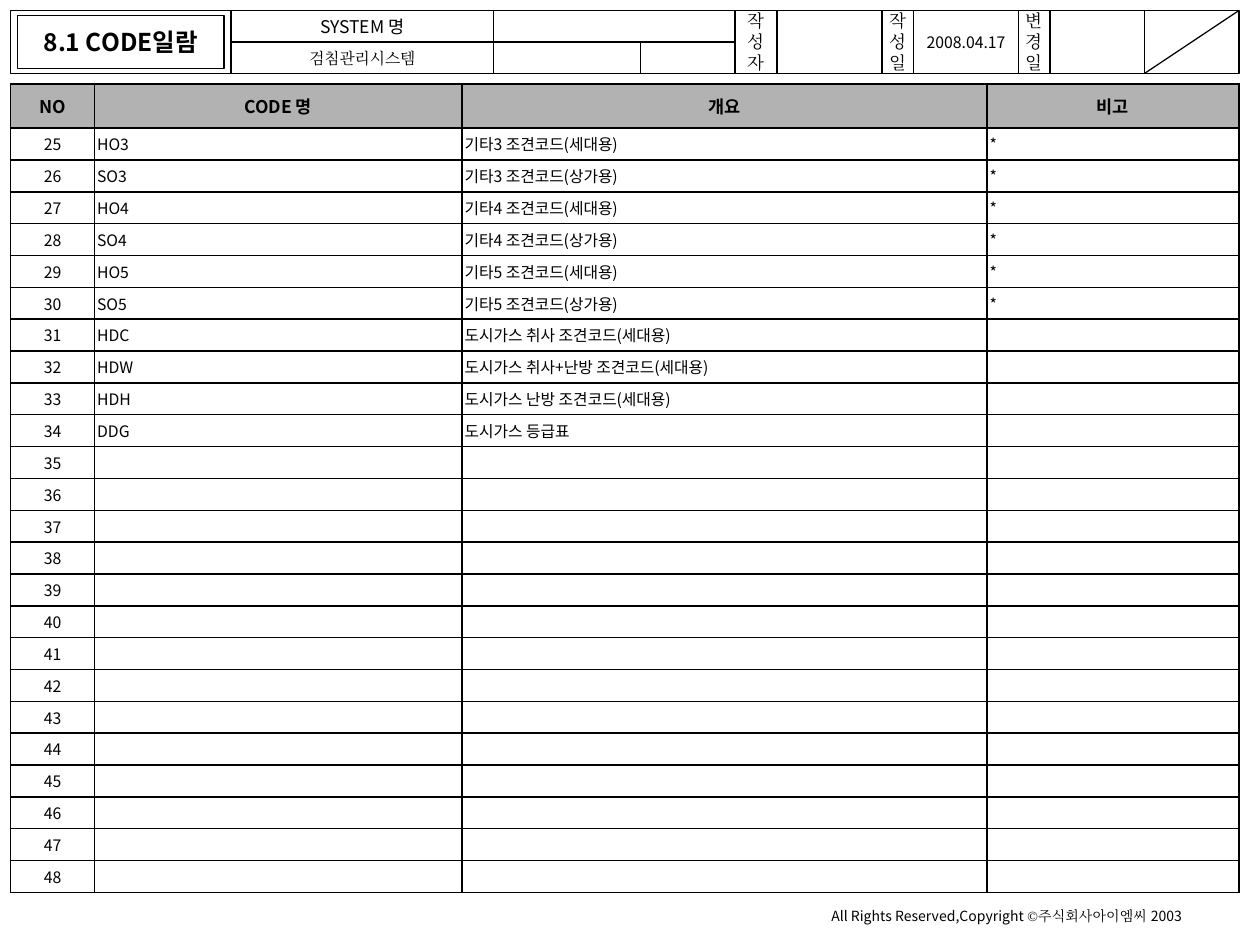
from dataclasses import dataclass

from lxml.etree import SubElement
from pptx import Presentation
from pptx.dml.color import RGBColor
from pptx.enum.shapes import MSO_CONNECTOR, MSO_SHAPE
from pptx.enum.text import MSO_ANCHOR, MSO_AUTO_SIZE, PP_ALIGN
from pptx.oxml.ns import qn
from pptx.util import Pt


@dataclass(frozen=True)
class Theme:
    ink: RGBColor = RGBColor(0, 0, 0)
    header_fill: RGBColor = RGBColor(0xB2, 0xB2, 0xB2)
    sans: str = "Noto Sans CJK KR"
    serif: str = "Times New Roman"
    title: float = 14
    label: float = 10
    body: float = 9
    footer: float = 8
    frame_line: float = 0.75
    table_line: float = 1
    cell_inset: float = 1.5


class FormSlide:
    def __init__(self, slide, theme):
        self.shapes = slide.shapes
        self.theme = theme

    def run(self, paragraph, text, size, face=None, bold=False):
        face = face or self.theme.sans
        run = paragraph.add_run()
        run.text = text
        run.font.size = Pt(size)
        run.font.bold = bold
        run.font.name = face
        run.font.color.rgb = self.theme.ink
        SubElement(run.font._element, qn("a:ea"), typeface=face)

    def centre(self, frame, lines, size, face=None, bold=False):
        frame.word_wrap = False
        frame.vertical_anchor = MSO_ANCHOR.MIDDLE
        frame.margin_left = frame.margin_right = 0
        frame.margin_top = frame.margin_bottom = 0
        for index, line in enumerate(lines):
            paragraph = frame.add_paragraph() if index else frame.paragraphs[0]
            paragraph.alignment = PP_ALIGN.CENTER
            self.run(paragraph, line, size, face, bold)

    def box(self, bounds, lines=(), size=None, face=None):
        box = self.shapes.add_shape(MSO_SHAPE.RECTANGLE, *map(Pt, bounds))
        box.shadow.inherit = False
        box.fill.background()
        box.line.color.rgb = self.theme.ink
        box.line.width = Pt(self.theme.frame_line)
        self.centre(box.text_frame, lines, size, face)

    def line(self, *ends):
        line = self.shapes.add_connector(MSO_CONNECTOR.STRAIGHT, *map(Pt, ends))
        line.line.color.rgb = self.theme.ink
        line.line.width = Pt(self.theme.frame_line)
        SubElement(line._element.spPr, qn("a:effectLst"))

    def title(self, bounds, text):
        box = self.shapes.add_textbox(*map(Pt, bounds))
        self.centre(box.text_frame, [text], self.theme.title, bold=True)

    def footer(self, bounds, parts):
        frame = self.shapes.add_textbox(*map(Pt, bounds)).text_frame
        frame.word_wrap = True
        frame.auto_size = MSO_AUTO_SIZE.SHAPE_TO_FIT_TEXT
        for text, face in parts:
            self.run(frame.paragraphs[0], text, self.theme.footer, face)

    def borders(self, cell):
        properties = cell._tc.get_or_add_tcPr()
        for side in ("lnL", "lnR", "lnT", "lnB"):
            edge = SubElement(properties, qn(f"a:{side}"), w=str(Pt(self.theme.table_line)))
            fill = SubElement(edge, qn("a:solidFill"))
            SubElement(fill, qn("a:srgbClr"), val=str(self.theme.ink))

    def cell(self, cell, text, header, centred):
        theme = self.theme
        size = theme.label if header else theme.body
        self.borders(cell)
        cell.vertical_anchor = MSO_ANCHOR.MIDDLE
        if header:
            cell.fill.solid()
            cell.fill.fore_color.rgb = theme.header_fill
        else:
            cell.fill.background()
            cell.margin_left = cell.margin_right = Pt(theme.cell_inset)
            cell.margin_top = cell.margin_bottom = Pt(theme.cell_inset)
        paragraph = cell.text_frame.paragraphs[0]
        if centred:
            paragraph.alignment = PP_ALIGN.CENTER
        if text:
            self.run(paragraph, text, size, bold=header)
        else:  # keeps an empty row from growing to the default type size
            SubElement(paragraph._p, qn("a:endParaRPr"), sz=str(size * 100))

    def table(self, left, top, widths, heights, rows):
        table = self.shapes.add_table(
            len(rows), len(widths), Pt(left), Pt(top), Pt(sum(widths)), Pt(sum(heights))
        ).table
        table.first_row = table.horz_banding = False
        for column, width in zip(table.columns, widths):
            column.width = Pt(width)
        for row, height in zip(table.rows, heights):
            row.height = Pt(height)
        for r, texts in enumerate(rows):
            for c, text in enumerate(texts):
                self.cell(table.cell(r, c), text, header=r == 0, centred=r == 0 or c == 0)


HEADINGS = ("NO", "CODE 명", "개요", "비고")
FIRST_NO, LAST_NO = 25, 48
CODES = [
    (f"{prefix}O{number}", f"기타{number} 조견코드({use})", "*")
    for number in (3, 4, 5)
    for prefix, use in (("H", "세대용"), ("S", "상가용"))
] + [
    ("HDC", "도시가스 취사 조견코드(세대용)", ""),
    ("HDW", "도시가스 취사+난방 조견코드(세대용)", ""),
    ("HDH", "도시가스 난방 조견코드(세대용)", ""),
    ("DDG", "도시가스 등급표", ""),
]


def draw_form_header(form):
    theme = form.theme
    top, half, full = 6, 18, 36
    middle = top + half
    title_bounds = (6, top, 126, full)
    form.box(title_bounds)
    form.box((10, 9, 118, 30))
    form.box((132, top, 150, half), ["SYSTEM 명"], theme.label)
    form.box((132, middle, 150, half), ["검침관리시스템"], theme.body, theme.serif)

    fields = [
        (24, "작성자", theme.label, theme.serif),
        (60, "", None, None),
        (18, "작성일", theme.label, theme.serif),
        (60, ["2008.04.17"], theme.body, theme.sans),
        (18, "변경일", theme.label, theme.serif),
        (54, "", None, None),
        (54, "", None, None),
    ]
    left = 420
    for width, lines, size, face in fields:
        form.box((left, top, width, full), lines, size, face)
        left += width
    form.line(left, top, left - width, top + full)

    form.box((282, top, 138, half))
    form.box((366, middle, 54, half))
    form.box((282, middle, 84, half))
    form.title(title_bounds, "8.1 CODE일람")


def main():
    presentation = Presentation()
    presentation.slide_width, presentation.slide_height = Pt(720), Pt(540)
    theme = Theme()
    form = FormSlide(presentation.slides.add_slide(presentation.slide_layouts[6]), theme)

    draw_form_header(form)
    form.footer((468, 514.8, 258, 16.6), [
        ("All Rights Reserved,Copyright ", theme.sans),
        ("©주식회사아이엠씨 ", theme.serif),
        ("2003", theme.sans),
    ])

    numbers = range(FIRST_NO, LAST_NO + 1)
    blanks = [("", "", "")] * (len(numbers) - len(CODES))
    rows = [HEADINGS] + [(str(no), *code) for no, code in zip(numbers, CODES + blanks)]
    form.table(6, 48, (48, 210, 300, 144), [25.2] + [18.2] * len(numbers), rows)
    presentation.save("out.pptx")


if __name__ == "__main__":
    main()
